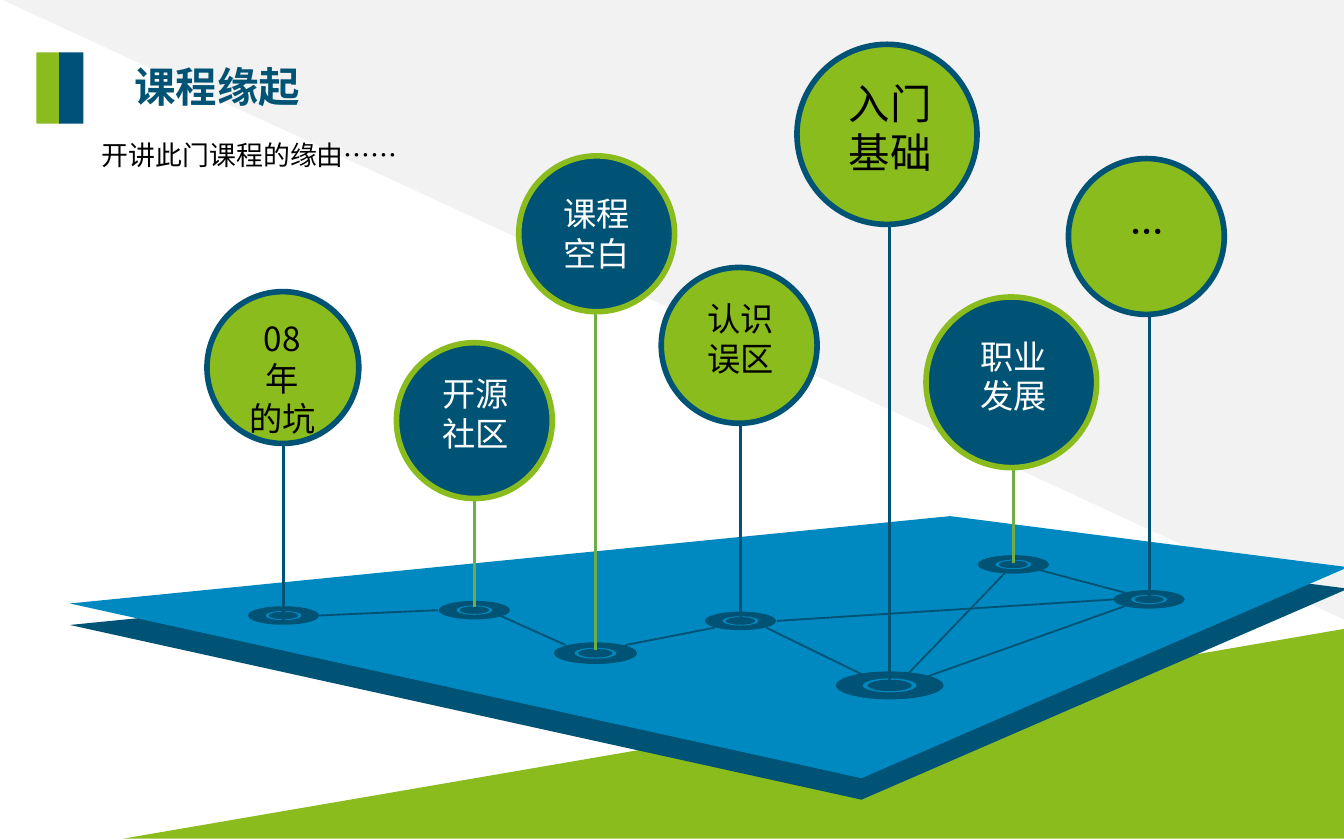
"""Build the course-origins slide: labelled pins rising from a tilted, networked board."""
from lxml.etree import SubElement
from pptx import Presentation
from pptx.dml.color import RGBColor
from pptx.enum.shapes import MSO_CONNECTOR as CONNECTOR, MSO_SHAPE as SHAPE
from pptx.enum.text import MSO_ANCHOR as ANCHOR, PP_ALIGN as ALIGN
from pptx.oxml.ns import qn
from pptx.util import Inches, Pt

FONT = "Noto Sans CJK KR"
COLORS = {
    "white": "FFFFFF", "black": "000000", "grey": "F2F2F2", "green": "8ABC1D",
    "stem_green": "70AD47", "navy": "005374", "marker_navy": "00517A", "blue": "0089C0",
}

prs = Presentation()
prs.slide_width, prs.slide_height = Inches(10), Inches(6.25)
slide = prs.slides.add_slide(prs.slide_layouts[5])
shapes = slide.shapes


def paint(shape, fill, outline=None):
    shape.shadow.inherit = False
    shape.fill.solid()
    shape.fill.fore_color.rgb = RGBColor.from_string(COLORS[fill])
    if outline:
        shape.line.color.rgb = RGBColor.from_string(COLORS[outline])
        shape.line.width = Pt(3)
    else:
        shape.line.fill.background()


def write(box, text, size, color, bold=False, align=ALIGN.LEFT):
    frame = box.text_frame
    frame.word_wrap = True
    frame.vertical_anchor = ANCHOR.TOP
    frame.text = text
    for paragraph in frame.paragraphs:
        paragraph.alignment = align
        for run in paragraph.runs:
            run.font.name, run.font.size, run.font.bold = FONT, Pt(size), bold
            run.font.color.rgb = RGBColor.from_string(COLORS[color])
            SubElement(run.font._element, qn("a:ea")).set("typeface", FONT)


for left, top, width, height, color, flips in [
    (0.02, 0, 9.98, 4.61, "grey", ("flipH", "flipV")),
    (0.92, 4.68, 9.08, 1.56, "green", ("flipH",)),
]:
    corner = shapes.add_shape(SHAPE.RIGHT_TRIANGLE, Inches(left), Inches(top), Inches(width), Inches(height))
    paint(corner, color)
    for flip in flips:
        corner._element.spPr.find(qn("a:xfrm")).set(flip, "1")

board_corners = [(0.52, 4.49), (7.07, 3.84), (10.03, 4.22), (6.41, 5.79)]
for drop, color in [(0.16, "navy"), (0, "blue")]:
    outline = [(Inches(x), Inches(y + drop)) for x, y in board_corners]
    builder = shapes.build_freeform(*outline[0])
    builder.add_line_segments(outline[1:], close=True)
    paint(builder.convert_to_shape(), color)

topics = [
    ("开源\n社区", (3.53, 4.54, 0.53), 4.52, (2.95, 2.55, 1.16), (3.19, 2.73, 0.7), "navy", 17.8),
    ("08年\n的坑", (2.11, 4.58, 0.53), 4.63, (1.54, 2.17, 1.13), (1.75, 2.32, 0.7), "green", 17.8),
    ("认识\n误区", (5.51, 4.62, 0.53), 4.59, (4.92, 1.99, 1.16), (5.16, 2.17, 0.7), "green", 17.8),
    ("…", (8.55, 4.46, 0.53), 4.45, (7.95, 1.18, 1.16), (8.31, 1.52, 0.45), "green", 17.8),
    ("入门\n基础", (6.62, 5.1, 0.8), 5.1, (5.93, 0.33, 1.34), (6.21, 0.53, 0.83), "green", 22.2),
    ("课程\n空白", (4.43, 4.86, 0.62), 4.84, (3.86, 1.16, 1.16), (4.09, 1.39, 0.7), "navy", 17.8),
    ("职业\n发展", (7.54, 4.2, 0.53), 4.19, (6.89, 2.21, 1.27), (7.19, 2.45, 0.7), "navy", 17.8),
]
for topic in topics:
    x, y, size = topic[1]
    for scale, color in [(1, "navy"), (0.5, "blue"), (0.41, "navy")]:
        width, height = size * scale, size * scale * 0.26
        ring = shapes.add_shape(
            SHAPE.OVAL, Inches(x - width / 2), Inches(y - height / 2), Inches(width), Inches(height))
        paint(ring, color)

network = [
    (2.37, 4.58, 3.26, 4.54), (3.72, 4.58, 4.21, 4.8), (4.65, 4.8, 5.32, 4.67),
    (5.7, 4.67, 6.48, 5.05), (6.91, 5.03, 8.37, 4.51), (8.37, 4.41, 7.73, 4.24),
    (5.78, 4.62, 8.29, 4.46), (6.76, 5.01, 7.48, 4.26),
]
lines = [(*ends, "navy", 1) for ends in network]
for _, (x, _, _), foot, (_, top, diameter), _, color, _ in topics:
    stem_color = "stem_green" if color == "navy" else "navy"
    lines.append((x, foot, x, top + diameter - 0.1, stem_color, 1.5))
for x1, y1, x2, y2, color, weight in lines:
    line = shapes.add_connector(CONNECTOR.STRAIGHT, Inches(x1), Inches(y1), Inches(x2), Inches(y2))
    line.line.color.rgb = RGBColor.from_string(COLORS[color])
    line.line.width = Pt(weight)
    SubElement(line._element.spPr, qn("a:effectLst"))

for text, _, _, (left, top, diameter), (label_left, label_top, label_width), color, size in topics:
    outline, ink = ("green", "white") if color == "navy" else ("navy", "black")
    bubble = shapes.add_shape(SHAPE.OVAL, Inches(left), Inches(top), Inches(diameter), Inches(diameter))
    paint(bubble, color, outline)
    label = shapes.add_textbox(Inches(label_left), Inches(label_top), Inches(label_width), Inches(0.7))
    write(label, text, size, ink, bold=text == "…", align=ALIGN.CENTER)

for left, color in [(0.27, "green"), (0.44, "marker_navy")]:
    marker = shapes.add_shape(SHAPE.RECTANGLE, Inches(left), Inches(0.39), Inches(0.18), Inches(0.53))
    paint(marker, color)

title = shapes.title
title.left, title.top, title.width, title.height = Inches(0.9), Inches(0.41), Inches(3.24), Inches(0.47)
title.rotation = 0.3
write(title, "课程缘起", 22.2, "navy", bold=True)
shapes._spTree.append(title._element)

subtitle = shapes.add_textbox(Inches(0.66), Inches(0.98), Inches(3.12), Inches(0.34))
write(subtitle, "开讲此门课程的缘由……", 14.4, "black")

prs.save("out.pptx")
